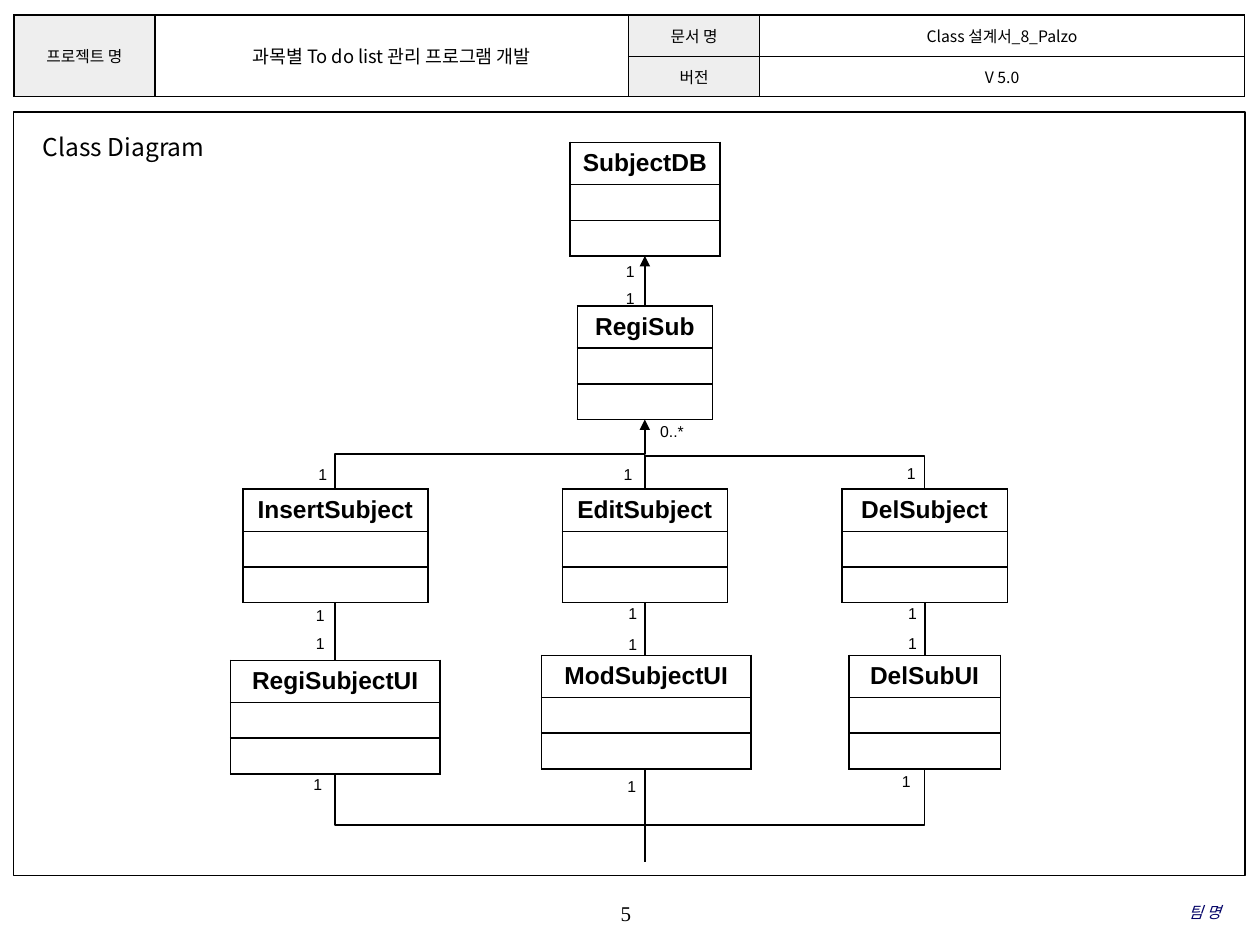
from dataclasses import dataclass

from lxml.etree import SubElement
from pptx import Presentation
from pptx.dml.color import RGBColor
from pptx.enum.shapes import MSO_CONNECTOR, MSO_SHAPE
from pptx.enum.text import MSO_ANCHOR, PP_ALIGN
from pptx.oxml import parse_xml
from pptx.oxml.ns import nsdecls, qn
from pptx.util import Cm, Pt


@dataclass(frozen=True)
class Theme:
    """Colours, fonts and type sizes."""
    ink: str = "000000"
    paper: str = "FFFFFF"
    tint: str = "EEEEEE"
    navy: str = "000066"
    sans: str = "Arial"
    hangul: str = "Noto Sans CJK KR"
    serif: str = "Times New Roman"
    small: float = 9
    lead: float = 10.5
    page: float = 12
    head: float = 14
    rule: float = 1


T = Theme()
ROWS = (0.85, 0.72, 0.72)
TALL = sum(ROWS)
LEFT, MID, RIGHT = 6.76, 13.0, 18.64
CLASSES = [  # name, centre, top, width
    ("SubjectDB", MID, 2.87, 3.02),
    ("RegiSub", MID, 6.17, 2.72),
    ("InsertSubject", LEFT, 9.86, 3.73),
    ("EditSubject", MID, 9.86, 3.33),
    ("DelSubject", RIGHT, 9.86, 3.33),
    ("RegiSubjectUI", LEFT, 13.31, 4.22),
    ("ModSubjectUI", MID + 0.03, 13.21, 4.22),
    ("DelSubUI", RIGHT, 13.21, 3.05),
]
ONES = [  # places of the multiplicity 1
    (12.37, 5.16), (12.37, 5.69),
    (6.17, 9.25), (12.32, 9.25), (18.03, 9.22),
    (6.12, 12.09), (12.42, 12.04), (18.06, 12.04),
    (6.12, 12.65), (12.42, 12.67), (18.06, 12.65),
    (6.07, 15.49), (12.4, 15.54), (17.93, 15.44),
]


def box(*sides):
    """Turn centimetres into lengths."""
    return [Cm(side) for side in sides]


def write(frame, text, size, face, align=PP_ALIGN.LEFT, color=T.ink, bold=False, italic=False):
    """Fill a text frame with one styled paragraph."""
    para = frame.paragraphs[0]
    para.text = text
    para.alignment = align
    font = para.font
    font.size, font.name, font.bold, font.italic = Pt(size), face, bold, italic
    font.color.rgb = RGBColor.from_string(color)
    SubElement(font._rPr, qn("a:ea")).set("typeface", T.hangul)


def label(slide, area, text, size, face, pad=True, wrap=True, **style):
    """Place a text box; without pad it is centred vertically and has no insets."""
    frame = slide.shapes.add_textbox(*box(*area)).text_frame
    frame.word_wrap = wrap
    if not pad:
        frame.margin_left = frame.margin_right = frame.margin_top = frame.margin_bottom = 0
        frame.vertical_anchor = MSO_ANCHOR.MIDDLE
    write(frame, text, size, face, **style)


def dress(cell, fill=None):
    """Give a cell its fill and four borders."""
    cell.vertical_anchor = MSO_ANCHOR.MIDDLE
    if fill:
        cell.fill.solid()
        cell.fill.fore_color.rgb = RGBColor.from_string(fill)
    else:
        cell.fill.background()
    props = cell._tc.get_or_add_tcPr()
    for i, side in enumerate("LRTB"):
        props.insert(i, parse_xml(
            f'<a:ln{side} {nsdecls("a")} w="{Pt(T.rule)}"><a:solidFill>'
            f'<a:srgbClr val="{T.ink}"/></a:solidFill></a:ln{side}>'))


def inset(cell, side, edge):
    """Set the side and edge margins of a cell."""
    cell.margin_left = cell.margin_right = Cm(side)
    cell.margin_top = cell.margin_bottom = Cm(edge)


def grid(slide, left, top, cols, rows):
    """Add a plain table with the given column widths and row heights."""
    table = slide.shapes.add_table(
        len(rows), len(cols), *box(left, top, sum(cols), sum(rows))).table
    table.first_row = table.horz_banding = False
    for col, wide in zip(table.columns, cols):
        col.width = Cm(wide)
    for row, high in zip(table.rows, rows):
        row.height = Cm(high)
    return table


def header(slide, left, top):
    """Draw the document header."""
    table = grid(slide, left, top, (2.84, 9.55, 2.64, 9.78), (0.84, 0.81))
    for cell in table.iter_cells():
        dress(cell)
        inset(cell, 0.1, 0.05)
    for col in (0, 1):
        table.cell(0, col).merge(table.cell(1, col))
    for row, col, text, size in (
            (0, 0, "프로젝트 명", T.small),
            (0, 1, "과목별 To do list 관리 프로그램 개발", T.lead),
            (0, 2, "문서 명", T.small), (0, 3, "Class 설계서_8_Palzo", T.small),
            (1, 2, "버전", T.small), (1, 3, "V 5.0", T.small)):
        cell = table.cell(row, col)
        write(cell.text_frame, text, size, T.hangul, PP_ALIGN.CENTER)
        if col in (0, 2):
            cell.fill.solid()
            cell.fill.fore_color.rgb = RGBColor.from_string(T.tint)


def entity(slide, name, mid, top, wide):
    """Draw one class with its two empty parts."""
    table = grid(slide, mid - wide / 2, top, (wide,), ROWS)
    for i, cell in enumerate(table.iter_cells()):
        dress(cell, T.paper)
        inset(cell, 0, 0)
        write(cell.text_frame, "" if i else name, T.head, T.sans, PP_ALIGN.CENTER, bold=True)


def link(slide, start, end, shape="line", arrow=False, turn=False):
    """Join two points; turn makes a bent line leave vertically."""
    (x1, y1), (x2, y2) = start, end
    if turn:
        x, y = (x1 + x2) / 2, (y1 + y2) / 2
        dx, dy = x1 - x, y1 - y
        x1, y1, x2, y2 = x + dy, y - dx, x - dy, y + dx
    line = slide.shapes.add_connector(MSO_CONNECTOR.STRAIGHT, *box(x1, y1, x2, y2))
    line.line.width = Pt(T.rule)
    line.line.color.rgb = RGBColor.from_string(T.ink)
    props = line._element.spPr
    props.find(qn("a:prstGeom")).set("prst", shape)
    if turn:
        props.find(qn("a:xfrm")).set("rot", "5400000")
    if arrow:
        SubElement(props.find(qn("a:ln")), qn("a:tailEnd")).set("type", "triangle")
    SubElement(props, qn("a:effectLst"))


def diagram(slide, left, top, wide, high):
    """Draw the framed class diagram."""
    frame = slide.shapes.add_shape(MSO_SHAPE.RECTANGLE, *box(left, top, wide, high))
    frame.shadow.inherit = False
    frame.fill.background()
    frame.line.width = Pt(0.75)
    frame.line.color.rgb = RGBColor.from_string(T.ink)
    title = slide.shapes.title
    title.left, title.top, title.width, title.height = box(left + 0.33, top + 0.28, 4.72, 0.86)
    title.text_frame.vertical_anchor = MSO_ANCHOR.TOP
    write(title.text_frame, "Class Diagram", T.head, T.hangul)

    for item in CLASSES:
        entity(slide, *item)
    tops = {name: y for name, _, y, _ in CLASSES}
    ends = {name: y + TALL for name, y in tops.items()}
    fork, base = 9.17, 16.64
    link(slide, (MID, tops["RegiSub"]), (MID, ends["SubjectDB"]), arrow=True)
    link(slide, (LEFT, tops["InsertSubject"]), (MID, ends["RegiSub"]),
         "bentConnector3", arrow=True, turn=True)
    link(slide, (MID, fork), (MID, tops["EditSubject"]))
    link(slide, (MID, fork + 0.03), (RIGHT, tops["DelSubject"]), "bentConnector2")
    for x, upper, lower in ((LEFT, "InsertSubject", "RegiSubjectUI"),
                            (MID, "EditSubject", "ModSubjectUI"),
                            (RIGHT, "DelSubject", "DelSubUI")):
        link(slide, (x, ends[upper]), (x, tops[lower]))
    for x, name in ((LEFT, "RegiSubjectUI"), (RIGHT, "DelSubUI")):
        link(slide, (MID, base), (x, ends[name]), "bentConnector2")
    link(slide, (MID, ends["ModSubjectUI"]), (MID, 17.37))

    for x, y in ONES:
        label(slide, (x, y, 0.69, 0.64), "1", T.small, T.sans, wrap=False)
    label(slide, (13.06, 8.38, 1.27, 0.64), "0..*", T.small, T.sans)


def footer(slide, left, top):
    """Place the page number and the team name."""
    label(slide, (left, top, 5.28, 0.84), "5", T.page, T.serif, pad=False,
          align=PP_ALIGN.CENTER)
    label(slide, (left + 6.86, top - 0.02, 7.77, 0.84), "팀 명", T.small, T.serif, pad=False,
          align=PP_ALIGN.RIGHT, color=T.navy, italic=True)


deck = Presentation()
deck.slide_width, deck.slide_height = box(25.4, 19.05)
page = deck.slides.add_slide(deck.slide_layouts[5])
header(page, 0.28, 0.3)
diagram(page, 0.28, 2.26, 24.82, 15.39)
footer(page, 9.98, 17.98)
deck.save("out.pptx")
